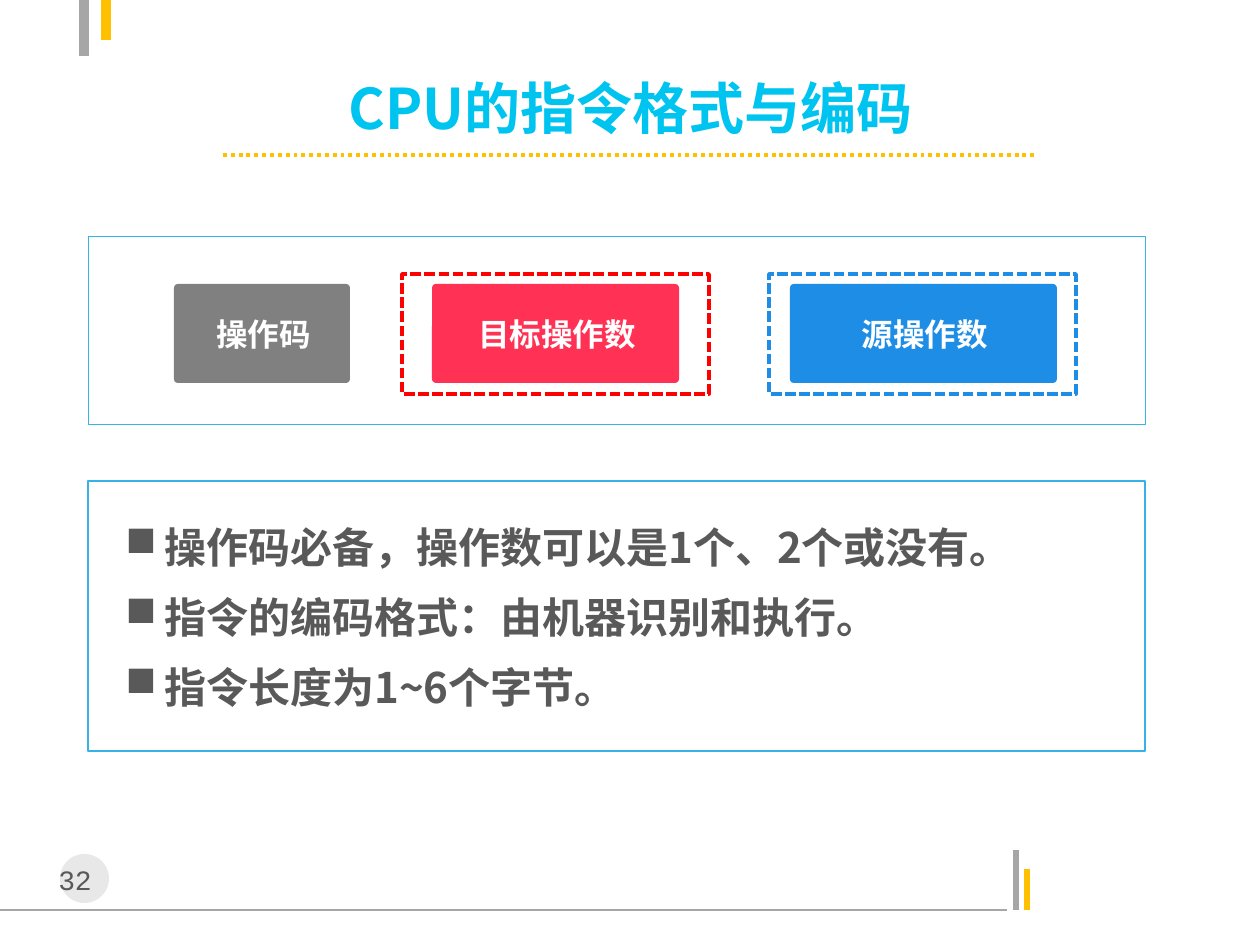
from dataclasses import dataclass

from lxml import etree
from pptx import Presentation
from pptx import util as u
from pptx.dml.color import RGBColor
from pptx.enum import dml, shapes, text
from pptx.oxml.ns import qn

EMU_PER_PX = 914400 / 126


@dataclass(frozen=True)
class Theme:
    font: str = "Noto Sans CJK SC"
    number_font: str = "Courier New"
    title: str = "00C4F0"
    body: str = "595959"
    white: str = "FFFFFF"
    gray: str = "A6A6A6"
    yellow: str = "FFC000"
    badge: str = "BFBFBF"
    panel: str = "36B2E6"
    opcode: str = "808080"
    target: str = "FF3255"
    target_frame: str = "FF0000"
    source: str = "1D8DE5"
    title_size: int = 32
    body_size: int = 24
    label_size: int = 18
    number_size: int = 16


THEME = Theme()
DASHES = {
    "dots": dml.MSO_LINE.ROUND_DOT,  # saved as sysDot
    "dashes": dml.MSO_LINE.SQUARE_DOT,
}


def px(*lengths):
    return [u.Emu(round(length * EMU_PER_PX)) for length in lengths]


def set_line(line, color, width, dash=None):
    line.color.rgb = RGBColor.from_string(color)
    line.width = u.Pt(width)
    if dash:
        line._get_or_add_ln().get_or_add_prstDash().set("val", dash)


def add_line(slide, start, end, color, width, dash=None):
    connector = slide.shapes.add_connector(
        shapes.MSO_CONNECTOR.STRAIGHT, *px(*start, *end))
    set_line(connector.line, color, width, dash)
    etree.SubElement(connector._element.spPr, qn("a:effectLst"))


def add_block(parent, kind, box, fill=None, line=None, alpha=None):
    """Add a preset shape; line is (color, width[, dash]), alpha a percentage."""
    shape = parent.shapes.add_shape(kind, *px(*box))
    shape.shadow.inherit = False
    if fill:
        shape.fill.solid()
        shape.fill.fore_color.rgb = RGBColor.from_string(fill)
    else:
        shape.fill.background()
    if alpha:
        color = shape._element.spPr.find(".//" + qn("a:srgbClr"))
        etree.SubElement(color, qn("a:alpha"), val=str(alpha * 1000))
    if line:
        set_line(shape.line, *line)
    else:
        shape.line.fill.background()
    return shape


def add_bullet(paragraph, indent, mark="■"):
    properties = paragraph._p.get_or_add_pPr()
    properties.set("marL", str(indent))
    properties.set("indent", str(-indent))
    etree.SubElement(properties, qn("a:buChar"), char=mark)


def add_text(parent, box, lines, *, size, color, font=THEME.font, bold=True,
             align=text.PP_ALIGN.CENTER, anchor=text.MSO_ANCHOR.TOP,
             wrap=True, spacing=None, before=0, after=0, bullet_indent=None):
    frame = parent.shapes.add_textbox(*px(*box)).text_frame
    frame.word_wrap = wrap
    frame.vertical_anchor = anchor
    for index, line in enumerate(lines):
        paragraph = frame.add_paragraph() if index else frame.paragraphs[0]
        if bullet_indent:
            add_bullet(paragraph, *px(bullet_indent))
        paragraph.alignment = align
        paragraph.line_spacing = spacing
        paragraph.space_before = u.Pt(before if index else 0)
        paragraph.space_after = u.Pt(after)
        run = paragraph.add_run()
        run.text = line
        run.font.size = u.Pt(size)
        run.font.bold = bold
        run.font.name = font
        run.font.color.rgb = RGBColor.from_string(color)
        etree.SubElement(run._r.get_or_add_rPr(), qn("a:ea"), typeface=font)


def add_card(slide, left, width, label, color):
    group = slide.shapes.add_group_shape()
    card = add_block(group, shapes.MSO_SHAPE.ROUNDED_RECTANGLE,
                     (left, 284, width, 99), fill=color)
    card.adjustments[0] = 0.04
    add_text(group, (left + 3, 297, width - 3, 58), [label],
             size=THEME.label_size, color=THEME.white, spacing=1.3)


def add_decoration(slide):
    add_line(slide, (0, 910), (1007, 910), THEME.gray, 0.75)
    add_line(slide, (1016, 910), (1016, 850), THEME.gray, 3)
    add_line(slide, (1027, 910), (1027, 869), THEME.yellow, 3)
    add_line(slide, (84, 56), (84, 0), THEME.gray, 6)
    add_line(slide, (106, 0), (106, 40), THEME.yellow, 6)
    add_block(slide, shapes.MSO_SHAPE.OVAL, (60, 854, 49, 49),
              fill=THEME.badge, alpha=35)
    add_text(slide, (39, 856, 89, 47), ["32 "], size=THEME.number_size,
             color=THEME.body, font=THEME.number_font, bold=False)


def main():
    presentation = Presentation()
    presentation.slide_width, presentation.slide_height = px(1260, 945)
    slide = presentation.slides.add_slide(presentation.slide_layouts[6])

    add_decoration(slide)
    add_text(slide, (174, 76, 914, 63), ["CPU的指令格式与编码"],
             size=THEME.title_size, color=THEME.title, wrap=False,
             anchor=text.MSO_ANCHOR.MIDDLE)
    add_line(slide, (223, 155), (1037, 155), THEME.yellow, 2.25, "sysDot")

    for left, width, label, color in (
        (174, 176, "操作码", THEME.opcode),
        (432, 247, "目标操作数", THEME.target),
        (790, 267, "源操作数", THEME.source),
    ):
        add_card(slide, left, width, label, color)

    rectangle = shapes.MSO_SHAPE.RECTANGLE
    for left, color in ((402, THEME.target_frame), (769, THEME.source)):
        add_block(slide, rectangle, (left, 274, 307, 120),
                  line=(color, 2, "sysDash"))

    add_text(slide, (113, 500, 973, 222),
             ["操作码必备，操作数可以是1个、2个或没有。",
              "指令的编码格式：由机器识别和执行。",
              "指令长度为1~6个字节。"],
             size=THEME.body_size, color=THEME.body,
             align=text.PP_ALIGN.LEFT, spacing=1.3, before=2, after=0.6,
             bullet_indent=39)
    for top, height, width in ((481, 270, 0.75), (236, 188, 0.25)):
        add_block(slide, rectangle, (88, top, 1057, height),
                  line=(THEME.panel, width))

    presentation.save("out.pptx")


if __name__ == "__main__":
    main()
